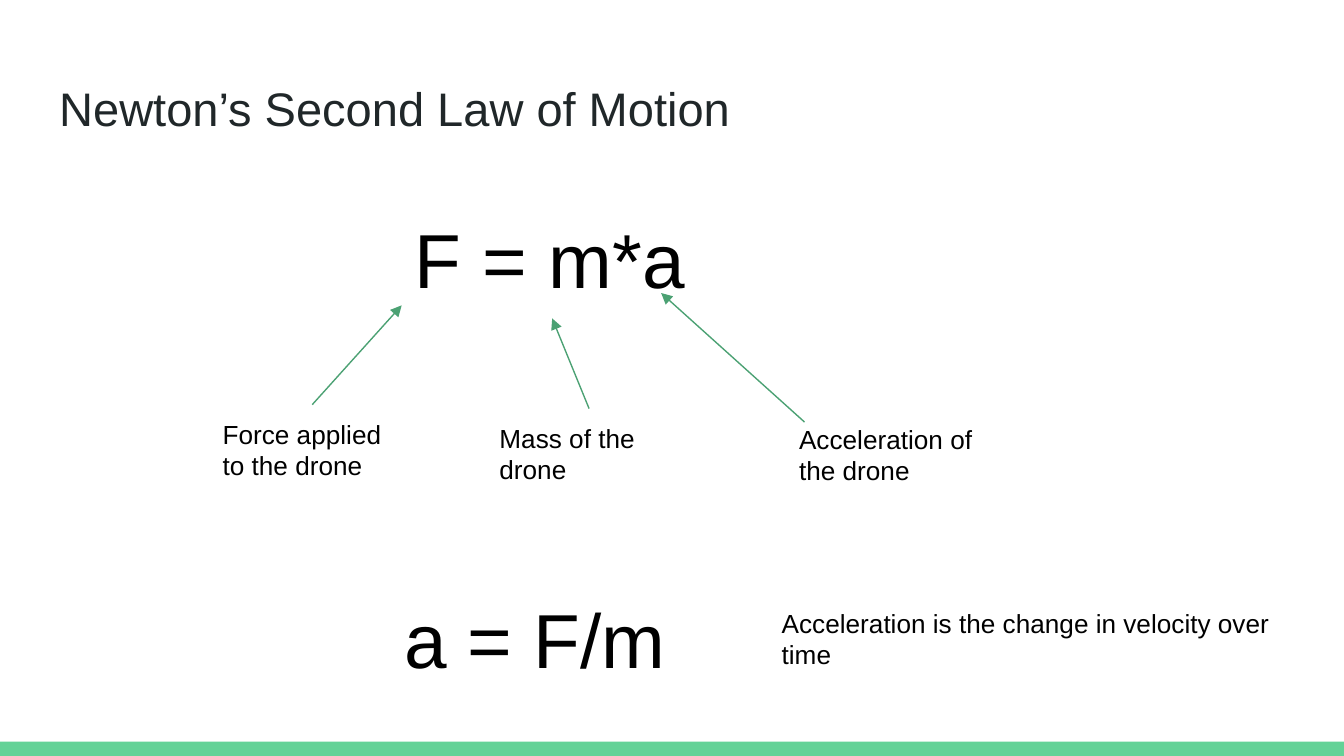
from lxml import etree
from pptx import Presentation
from pptx.dml.color import RGBColor
from pptx.enum.shapes import MSO_CONNECTOR, MSO_SHAPE
from pptx.enum.text import MSO_ANCHOR, MSO_AUTO_SIZE, PP_ALIGN
from pptx.oxml.ns import qn
from pptx.util import Pt

INK = RGBColor(0x20, 0x27, 0x29)
BLACK = RGBColor(0, 0, 0)
MINT = RGBColor(0x63, 0xD2, 0x97)
GREEN = RGBColor(0x4B, 0xA1, 0x73)
LINE = MSO_CONNECTOR.STRAIGHT
RECT = MSO_SHAPE.RECTANGLE
TOP, MIDDLE = MSO_ANCHOR.TOP, MSO_ANCHOR.MIDDLE
GROW, FIXED = MSO_AUTO_SIZE.SHAPE_TO_FIT_TEXT, MSO_AUTO_SIZE.NONE
LEFT = PP_ALIGN.LEFT

WIDTH, HEIGHT = 720, 405
PAD = Pt(7.2)
FRAME = {
    "word_wrap": True,
    "margin_left": PAD,
    "margin_right": PAD,
    "margin_top": PAD,
    "margin_bottom": PAD,
}


def style(item, values):
    for name, value in values.items():
        setattr(item, name, value)


def write(shape, text, size, color, anchor=TOP, fit=GROW):
    frame = shape.text_frame
    frame.text = text
    style(frame, {**FRAME, "vertical_anchor": anchor, "auto_size": fit})
    para = frame.paragraphs[0]
    para.alignment = LEFT
    style(para.font, {"name": "Arial", "size": Pt(size), "bold": False})
    para.font.color.rgb = color


def add_text(slide, box, text, size):
    shape = slide.shapes.add_textbox(*map(Pt, box))
    write(shape, text, size, BLACK)
    return shape


def add_arrow(slide, start, end):
    arrow = slide.shapes.add_connector(LINE, *map(Pt, start + end))
    arrow.line.color.rgb = GREEN
    arrow.line.width = Pt(0.75)
    props = arrow.line._get_or_add_ln()
    etree.SubElement(props, qn("a:tailEnd"), type="triangle")
    etree.SubElement(arrow._element.spPr, qn("a:effectLst"))
    return arrow


def add_title(slide, box, text):
    title = slide.shapes.title
    style(title, dict(zip(("left", "top", "width", "height"), map(Pt, box))))
    write(title, text, 25.2, INK, MIDDLE, FIXED)


def add_band(slide, box):
    band = slide.shapes.add_shape(RECT, *map(Pt, box))
    band.shadow.inherit = False
    band.fill.solid()
    band.fill.fore_color.rgb = MINT
    band.line.fill.background()


def add_law(slide, box):
    left, top, width, height = box
    law = add_text(slide, (left + 103, top, 161.3, 64), "F = m*a", 41)
    wide, tall = 110.2, 48.2
    parts = [
        ("Force applied to the drone", 0, 110.2, (103, 57), True),
        ("Mass of the drone", 148.3, 112.3, None, True),
        ("Acceleration of the drone", width - wide, 113, (242, 50.4), False),
    ]
    for text, x, y, tip, joined in parts:
        label = add_text(slide, (left + x, top + y, wide, tall), text, 14)
        start = (left + x + 10, top + y + 6.5)
        end = (left + tip[0], top + tip[1]) if tip else (left + 183.7, top + 64)
        arrow = add_arrow(slide, start, end)
        if joined:
            arrow.begin_connect(label, 0)
        if tip is None:
            arrow.end_connect(law, 2)


def add_result(slide, box):
    left, top, width, height = box
    add_text(slide, (left, top, 161.3, height), "a = F/m", 41)
    note = "Acceleration is the change in velocity over time"
    add_text(slide, (left + 202.3, top + 8, width - 202.3, 48.2), note, 14)


def main():
    deck = Presentation()
    style(deck, {"slide_width": Pt(WIDTH), "slide_height": Pt(HEIGHT)})
    slide = deck.slides.add_slide(deck.slide_layouts[5])
    add_band(slide, (0, HEIGHT - 7.7, WIDTH, 7.7))
    add_title(slide, (24.5, 35.4, 671, 45.1), "Newton’s Second Law of Motion")
    add_law(slide, (112.2, 106.6, 419, 161.2))
    add_result(slide, (209.4, 310.2, 505.5, 64))
    deck.save("out.pptx")


if __name__ == "__main__":
    main()
